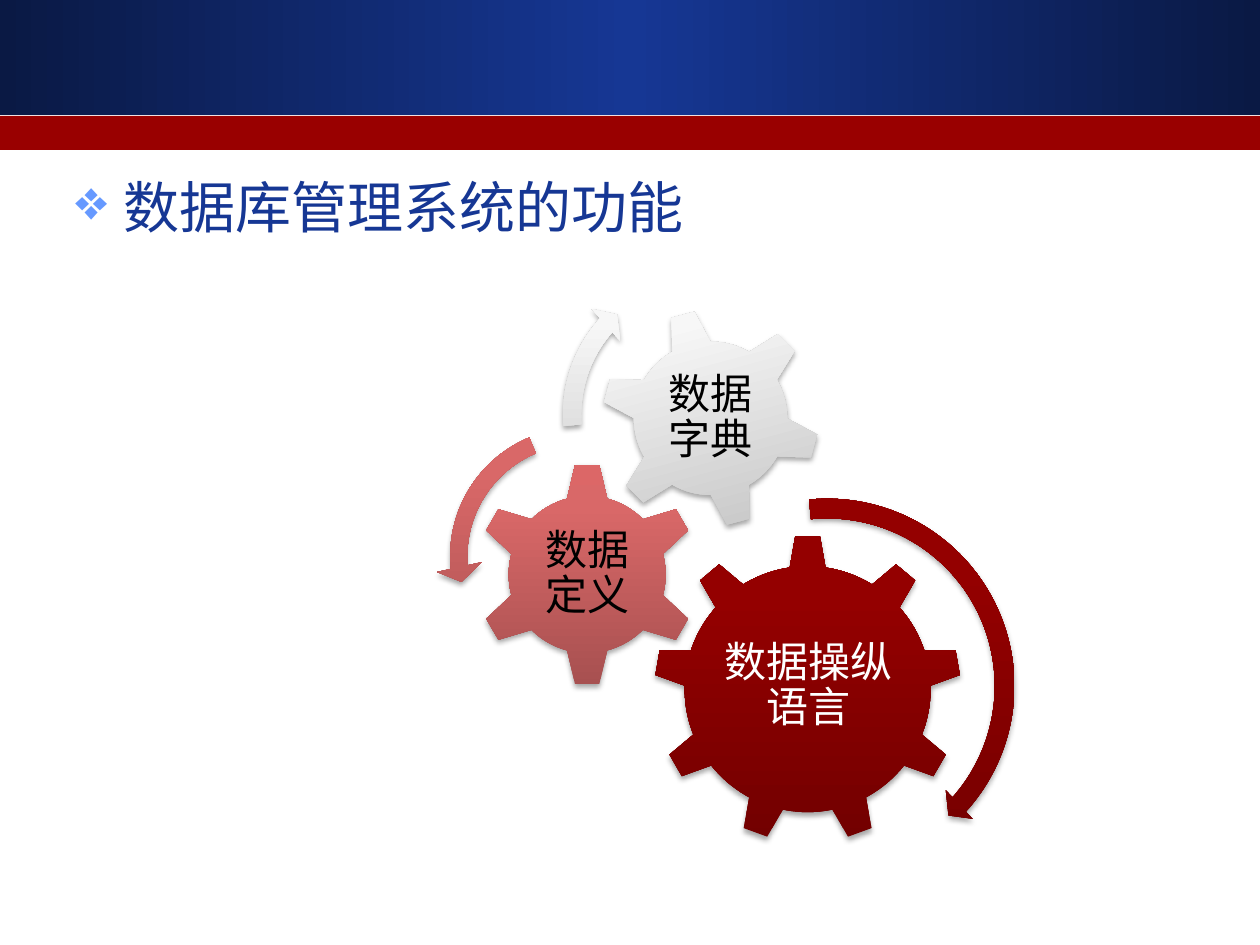
from lxml import etree
from pptx import Presentation
from pptx.dml.color import RGBColor
from pptx.enum.shapes import MSO_SHAPE
from pptx.enum.text import MSO_ANCHOR, PP_ALIGN
from pptx.oxml.ns import qn
from pptx.util import Inches, Pt

RECTANGLE = MSO_SHAPE.RECTANGLE
GEAR_6 = MSO_SHAPE.GEAR_6
GEAR_9 = MSO_SHAPE.GEAR_9
ARROW = MSO_SHAPE.CIRCULAR_ARROW
LEFT_ARROW = MSO_SHAPE.LEFT_CIRCULAR_ARROW
MIDDLE = MSO_ANCHOR.MIDDLE
CENTER = PP_ALIGN.CENTER

NAVY = RGBColor(0x0A, 0x19, 0x44)
BLUE = RGBColor(0x16, 0x37, 0x94)
LIGHT_BLUE = RGBColor(0x66, 0x99, 0xFF)
RED = RGBColor(0x99, 0x00, 0x00)
WHITE = RGBColor(0xFF, 0xFF, 0xFF)
BLACK = RGBColor(0x00, 0x00, 0x00)

HEADER_STOPS = [(0, NAVY), (50, BLUE), (100, NAVY)]
DARK_RED_STOPS = [(0, RGBColor(0x72, 0, 0)), (80, RGBColor(0x94, 0, 0)),
                  (100, RGBColor(0x95, 0, 0))]
ROSE_STOPS = [(0, RGBColor(0xA7, 0x50, 0x50)), (80, RGBColor(0xD9, 0x68, 0x68)),
              (100, RGBColor(0xDC, 0x67, 0x67))]
SILVER_STOPS = [(0, RGBColor(0xBE, 0xBE, 0xBE)), (80, RGBColor(0xF7, 0xF7, 0xF7)),
                (100, RGBColor(0xF8, 0xF8, 0xF8))]


def add_color(parent, color):
    return etree.SubElement(parent, qn("a:srgbClr"), val=str(color))


class SlideBuilder:
    font = "Arial"
    title_size = Pt(32)
    label_size = Pt(24)

    def __init__(self, page):
        self.page = page

    def shape(self, kind, left, top, width, height):
        shape = self.page.shapes.add_shape(
            kind, Inches(left), Inches(top), Inches(width), Inches(height))
        shape.line.fill.background()
        shape.shadow.inherit = False
        return shape

    def band(self, top, height, color):
        band = self.shape(RECTANGLE, 0, top, 10, height)
        band.fill.solid()
        band.fill.fore_color.rgb = color

    def gradient(self, shape, stops, angle):
        """Fill with (percent, colour) stops; angle runs counter-clockwise."""
        shape.fill.gradient()
        shape.fill.gradient_angle = angle
        stop_list = shape.element.spPr.find(qn("a:gradFill")).find(qn("a:gsLst"))
        for stop in list(stop_list):
            stop_list.remove(stop)
        for percent, color in stops:
            stop = etree.SubElement(stop_list, qn("a:gs"), pos=str(percent * 1000))
            add_color(stop, color)

    def raised(self, kind, left, top, size, stops, rotation=0, adjustments=()):
        """Add a square shape with a bottom-to-top gradient and a soft shadow."""
        shape = self.shape(kind, left, top, size, size)
        shape.rotation = rotation
        for index, value in enumerate(adjustments):
            shape.adjustments[index] = value
        self.gradient(shape, stops, 90)
        effects = shape.element.spPr.find(qn("a:effectLst"))
        shadow = etree.SubElement(
            effects, qn("a:outerShdw"), blurRad=str(Pt(3.1)), dist=str(Pt(1.8)),
            dir="5400000", rotWithShape="0")
        etree.SubElement(add_color(shadow, BLACK), qn("a:alpha"), val="35000")

    def text(self, left, top, width, height, words, size, color):
        box = self.page.shapes.add_textbox(
            Inches(left), Inches(top), Inches(width), Inches(height))
        frame = box.text_frame
        frame.word_wrap = True
        para = frame.paragraphs[0]
        para.text = words
        para.font.name = self.font
        para.font.size = size
        para.font.color.rgb = color
        return frame, para

    def label(self, left, top, width, height, words, color):
        frame, para = self.text(left, top, width, height, words,
                                self.label_size, color)
        frame.margin_left = frame.margin_right = Inches(0.03)
        frame.margin_top = frame.margin_bottom = Inches(0.03)
        frame.vertical_anchor = MIDDLE
        para.alignment = CENTER
        para.line_spacing = 0.9
        para.space_after = Pt(8.4)

    def bullet(self, left, top, width, height, words):
        _, para = self.text(left, top, width, height, words,
                            self.title_size, BLUE)
        para.line_spacing = 1.12
        para.space_before = para.space_after = Pt(6)
        properties = para._p.get_or_add_pPr()
        properties.set("marL", str(Inches(0.38)))
        properties.set("indent", str(Inches(-0.38)))
        mark = etree.Element(qn("a:buChar"), char="❖")
        mark_color = etree.Element(qn("a:buClr"))
        add_color(mark_color, LIGHT_BLUE)
        position = properties.index(properties.find(qn("a:defRPr")))
        properties[position:position] = [mark_color, mark]


def main():
    deck = Presentation()
    deck.slide_width, deck.slide_height = Inches(10), Inches(7.5)
    builder = SlideBuilder(deck.slides.add_slide(deck.slide_layouts[6]))

    header = builder.shape(RECTANGLE, 0, 0, 10, 0.91)
    builder.gradient(header, HEADER_STOPS, 0)
    builder.band(0.92, 0.27, RED)
    builder.bullet(0.5, 1.26, 9, 5.74, "数据库管理系统的功能")

    gears = [
        (GEAR_9, 5.19, 4.25, 2.44, DARK_RED_STOPS, 0,
         (5.69, 4.82, 1.46, 1.26), "数据操纵语言", WHITE),
        (GEAR_6, 3.77, 3.67, 1.78, ROSE_STOPS, 0,
         (4.22, 4.12, 0.88, 0.88), "数据定义", BLACK),
        (GEAR_6, 4.77, 2.45, 1.74, SILVER_STOPS, 345,
         (5.15, 2.83, 0.98, 0.98), "数据字典", BLACK),
    ]
    for kind, left, top, size, stops, rotation, area, words, color in gears:
        builder.raised(kind, left, top, size, stops, rotation)
        builder.label(*area, words, color)

    arrows = [
        (ARROW, 5, 3.88, 3.13, DARK_RED_STOPS, (0.05, 2.99, 25.13, 158.68, 0.05)),
        (LEFT_ARROW, 3.46, 3.28, 2.27, ROSE_STOPS,
         (0.06, 4.3, 104.89, 148.38, 0.08)),
        (ARROW, 4.37, 2.06, 2.45, SILVER_STOPS,
         (0.06, 3.94, 133.14, 105.08, 0.07)),
    ]
    for kind, left, top, size, stops, adjustments in arrows:
        builder.raised(kind, left, top, size, stops, adjustments=adjustments)

    deck.save("out.pptx")


if __name__ == "__main__":
    main()
